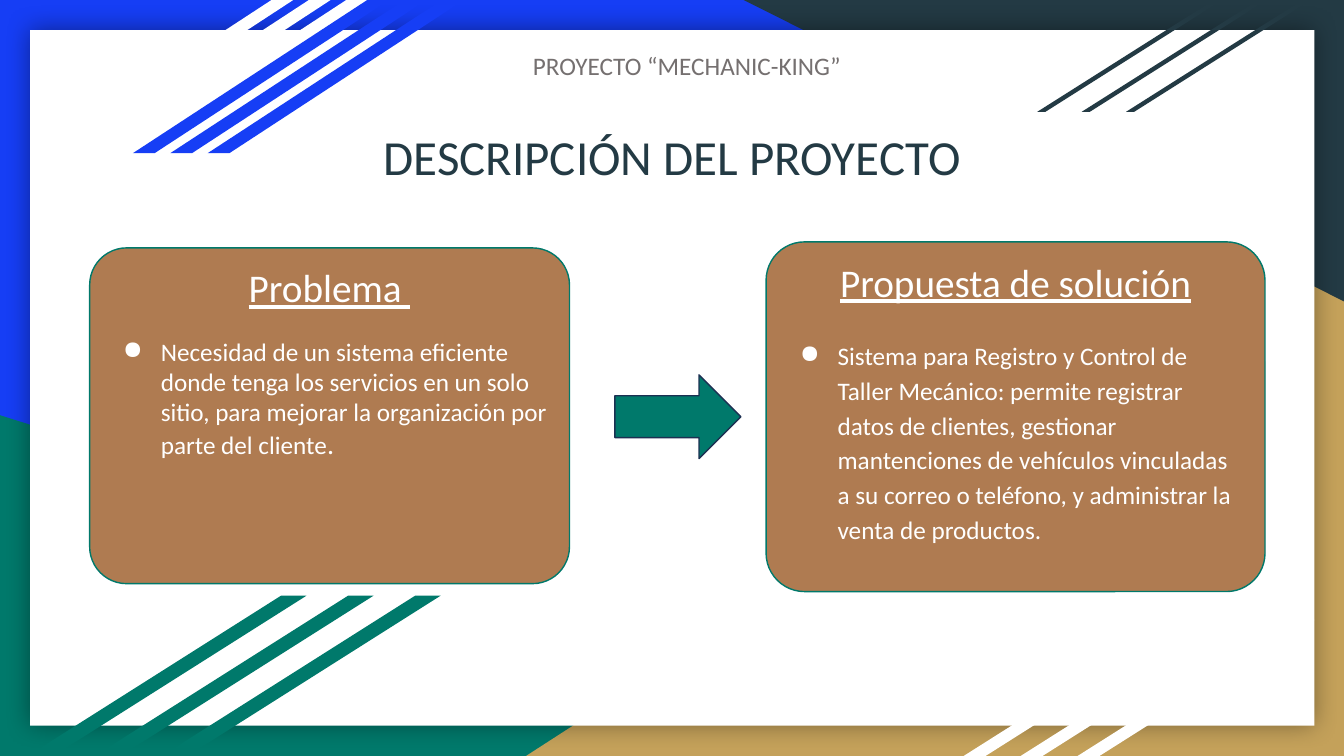
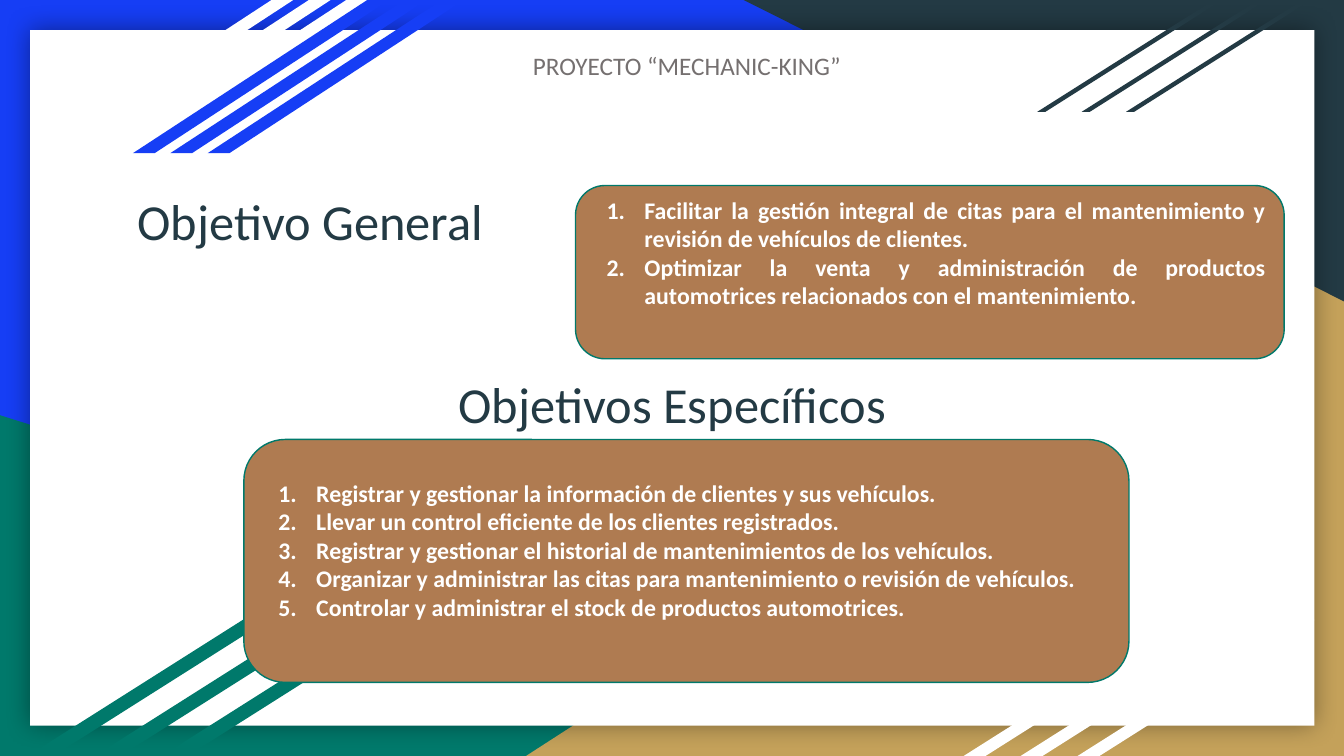
from dataclasses import dataclass

from lxml.etree import SubElement
from pptx import Presentation
from pptx.dml.color import RGBColor
from pptx.enum.shapes import MSO_SHAPE
from pptx.enum.text import MSO_ANCHOR, PP_ALIGN
from pptx.oxml.ns import qn
from pptx.util import Pt


@dataclass(frozen=True)
class Theme:
    font: str = "Calibri"
    blue: str = "163EF5"
    green: str = "00796B"
    gold: str = "C4A15A"
    dark: str = "233A44"
    white: str = "FFFFFF"
    brown: str = "AF7B51"
    navy: str = "1C3052"
    gray: str = "757070"
    main_title: int = 35
    title: int = 36
    heading: int = 28
    body: int = 18
    full_stop: int = 20
    goals: int = 17


T = Theme()
PROJECT = "PROYECTO “MECHANIC-KING”"
PROJECT_BOX = (360, 32.4, 261.4, 28.8)

# box, colour, rotation, mirrored
CORNERS = [
    ((0, 296.6, 774, 243.4), T.green, 0, False),
    ((375.8, 162.7, 584.2, 377.3), T.gold, 0, True),
    ((531.2, 0, 428.8, 215.3), T.dark, 180, False),
]
PANEL = (21.6, 21.6, 917.2, 496.8)
# box of the leftmost stripe, step, slant, colour
STRIPES = [
    ((26.6, 0, 182.9, 109.4), 26.7, 1.53, T.white),
    ((95, 0, 182.9, 109.4), 26.7, 1.53, T.blue),
    ((740.9, 0.7, 131, 79.2), 31.7, 1.58, T.dark),
    ((688.3, 442.8, 169.2, 97.2), 40.7, 1.58, T.white),
    ((20.9, 425.5, 198, 113.8), 47.9, 1.58, T.green),
]
STRIPES_PER_GROUP = 3

SLIDES = [
    {
        "titles": [("DESCRIPCIÓN DEL PROYECTO", (155.5, 87.1, 649.4, 49.7), T.main_title)],
        "topics": [
            {
                "box": (64.1, 177.1, 342.7, 239.8),
                "heading": "Problema ",
                "runs": [
                    ("Necesidad de un sistema eficiente donde tenga los servicios en un solo "
                     "sitio, para mejorar la organización por parte del cliente", T.body),
                    (".", T.full_stop),
                ],
                "format": {"space_before": Pt(18)},
            },
            {
                "box": (547.2, 172.8, 356.4, 249.8),
                "heading": "Propuesta de solución",
                "runs": [
                    ("Sistema para Registro y Control de Taller Mecánico: permite registrar "
                     "datos de clientes, gestionar mantenciones de vehículos vinculadas a su "
                     "correo o teléfono, y administrar la venta de productos.", T.body),
                ],
                "format": {"space_before": Pt(22), "line_spacing": 1.15},
            },
        ],
        "arrow": (439.2, 267.8, 90, 59.8),
    },
    {
        "titles": [
            ("Objetivo General", (43.2, 132.5, 357.1, 51.1), T.title),
            ("Objetivos Específicos", (301.7, 262.8, 357.1, 51.1), T.title),
        ],
        "goals": [
            {
                "box": (411.1, 132.5, 506.2, 123.8),
                "items": [
                    "Facilitar la gestión integral de citas para el mantenimiento y revisión "
                    "de vehículos de clientes.",
                    "Optimizar la venta y administración de productos automotrices "
                    "relacionados con el mantenimiento.",
                ],
                "align": PP_ALIGN.JUSTIFY,
                "bottom": 31.6,
            },
            {
                "box": (174.2, 313.9, 632.2, 173.5),
                "items": [
                    "Registrar y gestionar la información de clientes y sus vehículos.",
                    "Llevar un control eficiente de los clientes registrados.",
                    "Registrar y gestionar el historial de mantenimientos de los vehículos.",
                    "Organizar y administrar las citas para mantenimiento o revisión de vehículos.",
                    "Controlar y administrar el stock de productos automotrices.",
                ],
                "align": PP_ALIGN.LEFT,
                "bottom": 19.4,
            },
        ],
    },
]


def apply(target, values):
    for name, value in values.items():
        setattr(target, name, value)


def rgb(color):
    return RGBColor.from_string(color)


def add_shape(slide, kind, box, fill, line=None, adjust=None):
    sp = slide.shapes.add_shape(kind, *map(Pt, box))
    sp.shadow.inherit = False
    sp.fill.solid()
    sp.fill.fore_color.rgb = rgb(fill)
    if line:
        sp.line.color.rgb = rgb(line)
        sp.line.width = Pt(1)
    else:
        sp.line.fill.background()
    if adjust is not None:
        sp.adjustments[0] = adjust
    return sp


def add_run(p, text, size, color, **format):
    r = p.add_run()
    r.text = text
    apply(r.font, {"name": T.font, "size": Pt(size), **format})
    r.font.color.rgb = rgb(color)


def add_label(slide, text, box, size, color):
    tf = slide.shapes.add_textbox(*map(Pt, box)).text_frame
    tf.word_wrap = True
    p = tf.paragraphs[0]
    p.alignment = PP_ALIGN.CENTER
    add_run(p, text, size, color)


def add_list_marker(p, tag, **attributes):
    """Give the paragraph a white bullet or number with a hanging indent."""
    pPr = p._p.get_or_add_pPr()
    pPr.set("marL", str(Pt(36)))
    pPr.set("indent", str(-Pt(27)))
    SubElement(SubElement(pPr, qn("a:buClr")), qn("a:srgbClr"), val=T.white)
    SubElement(pPr, qn(tag), **attributes)


def add_glow(sp, color, alpha, blur):
    """Add a centred soft shadow."""
    effects = sp._element.spPr.find(qn("a:effectLst"))
    shadow = SubElement(effects, qn("a:outerShdw"), blurRad=str(Pt(blur)), dist="0",
                        dir="0", algn="ctr", rotWithShape="0")
    clr = SubElement(shadow, qn("a:srgbClr"), val=color)
    SubElement(clr, qn("a:alpha"), val=str(alpha * 1000))


def add_frame(slide):
    """Draw the background, corners, panel and stripes every slide shares."""
    slide.background.fill.solid()
    slide.background.fill.fore_color.rgb = rgb(T.blue)
    for box, color, rotation, mirrored in CORNERS:
        sp = add_shape(slide, MSO_SHAPE.RIGHT_TRIANGLE, box, color)
        sp.rotation = rotation
        if mirrored:
            sp._element.spPr.find(qn("a:xfrm")).set("flipH", "1")
    add_glow(add_shape(slide, MSO_SHAPE.RECTANGLE, PANEL, T.white), "000000", 40, 18)
    for (left, *rest), step, slant, color in STRIPES:
        for i in range(STRIPES_PER_GROUP):
            add_shape(slide, MSO_SHAPE.PARALLELOGRAM, (left + i * step, *rest), color,
                      adjust=slant)


def add_card(slide, box, corner, **frame_format):
    sp = add_shape(slide, MSO_SHAPE.ROUNDED_RECTANGLE, box, T.brown, T.green, corner)
    apply(sp.text_frame, {"word_wrap": True, **frame_format})
    return sp.text_frame


def add_topic(slide, topic):
    tf = add_card(slide, topic["box"], 0.11, vertical_anchor=MSO_ANCHOR.TOP)
    p = tf.paragraphs[0]
    p.alignment = PP_ALIGN.CENTER
    add_run(p, topic["heading"], T.heading, T.white, underline=True)
    p = tf.add_paragraph()
    apply(p, {"alignment": PP_ALIGN.LEFT, **topic["format"]})
    add_list_marker(p, "a:buChar", char="●")
    for text, size in topic["runs"]:
        add_run(p, text, size, T.white)


def add_goals(slide, goals):
    tf = add_card(slide, goals["box"], 0.17, vertical_anchor=MSO_ANCHOR.MIDDLE,
                  margin_bottom=Pt(goals["bottom"]))
    for i, item in enumerate(goals["items"]):
        p = tf.add_paragraph() if i else tf.paragraphs[0]
        p.alignment = goals["align"]
        add_list_marker(p, "a:buAutoNum", type="arabicPeriod")
        add_run(p, item, T.goals, T.white, bold=True)


def main():
    prs = Presentation()
    prs.slide_width, prs.slide_height = Pt(960), Pt(540)
    for content in SLIDES:
        slide = prs.slides.add_slide(prs.slide_layouts[6])
        add_frame(slide)
        for text, box, size in content["titles"]:
            add_label(slide, text, box, size, T.dark)
        for topic in content.get("topics", []):
            add_topic(slide, topic)
        for goals in content.get("goals", []):
            add_goals(slide, goals)
        if "arrow" in content:
            add_shape(slide, MSO_SHAPE.RIGHT_ARROW, content["arrow"], T.green, T.navy)
        add_label(slide, PROJECT, PROJECT_BOX, T.body, T.gray)
    prs.save("out.pptx")


if __name__ == "__main__":
    main()
